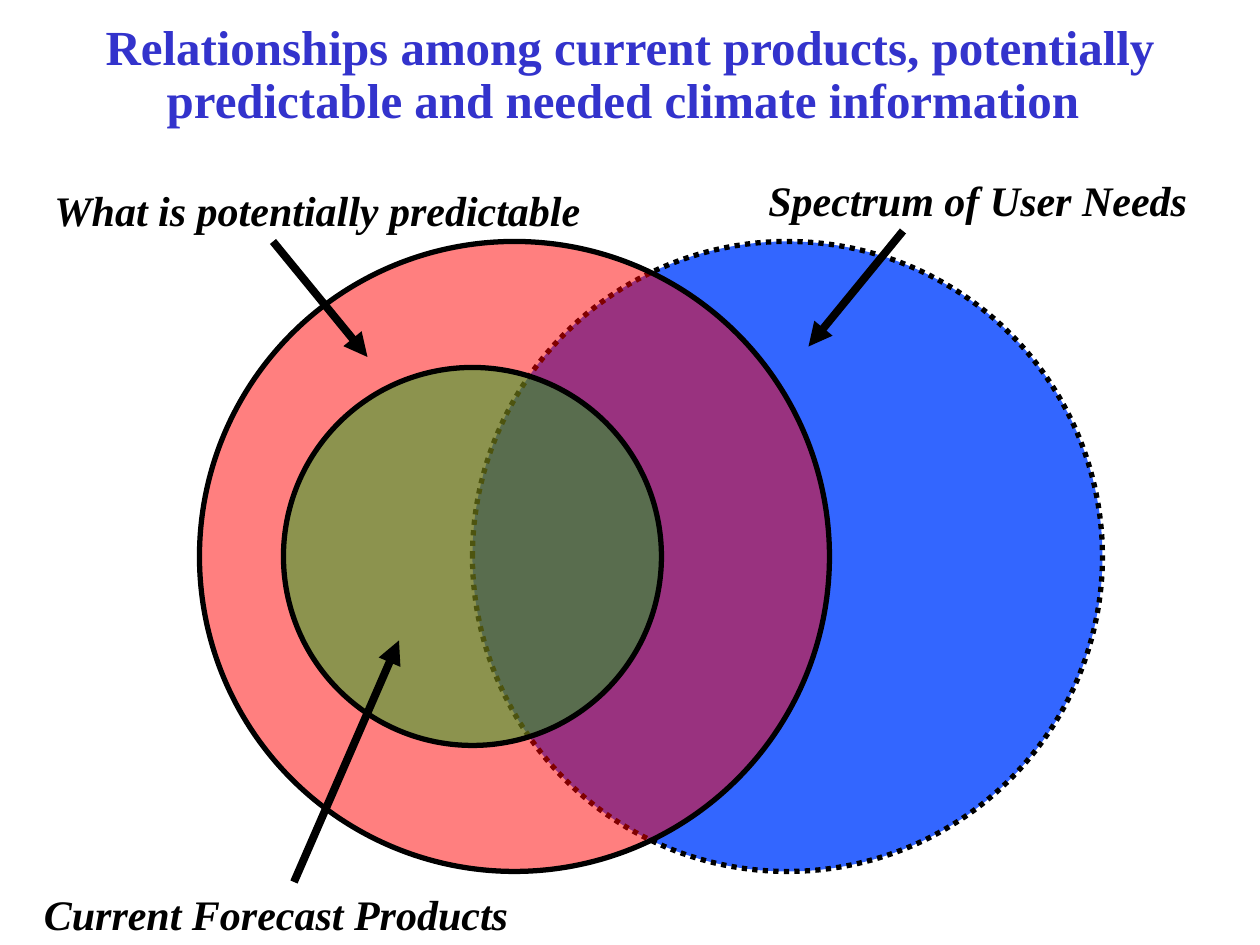
"""Build a slide on how forecast products, predictability and user needs overlap."""
from lxml import etree
from pptx import Presentation
from pptx.dml.color import RGBColor
from pptx.enum.dml import MSO_LINE
from pptx.enum.shapes import MSO_CONNECTOR, MSO_SHAPE
from pptx.enum.text import MSO_ANCHOR, MSO_AUTO_SIZE, PP_ALIGN
from pptx.oxml.ns import qn
from pptx.util import Pt

PX = 9525
FONT = "Times New Roman"
BLACK = RGBColor(0x00, 0x00, 0x00)
BLUE = RGBColor(0x33, 0x66, 0xFF)
RED = RGBColor(0xFF, 0x00, 0x00)
GREEN = RGBColor(0x1B, 0xA8, 0x1F)
INDIGO = RGBColor(0x33, 0x33, 0xCC)
OVAL = MSO_SHAPE.OVAL
STRAIGHT = MSO_CONNECTOR.STRAIGHT
DOTS = MSO_LINE.ROUND_DOT
MIDDLE = MSO_ANCHOR.MIDDLE
CENTER = PP_ALIGN.CENTER
GROW = MSO_AUTO_SIZE.SHAPE_TO_FIT_TEXT


def scale(*sizes):
    """Turn px into EMU."""
    return [size * PX for size in sizes]


def add_circle(slide, left, top, size, color, alpha=None, dash=None):
    """Draw an outlined circle, see-through if alpha is a percentage."""
    shape = slide.shapes.add_shape(OVAL, *scale(left, top, size, size))
    shape.shadow.inherit = False
    shape.fill.solid()
    shape.fill.fore_color.rgb = color
    if alpha is not None:
        tint = shape.fill._xPr.find(qn("a:solidFill"))[0]
        etree.SubElement(tint, qn("a:alpha"), val=str(alpha * 1000))
    shape.line.color.rgb = BLACK
    shape.line.width = Pt(3)
    if dash is not None:
        shape.line.dash_style = dash


def add_arrow(slide, *ends):
    """Draw a thick arrow from the first point to the second."""
    arrow = slide.shapes.add_connector(STRAIGHT, *scale(*ends))
    arrow.line.color.rgb = BLACK
    arrow.line.width = Pt(4.5)
    etree.SubElement(arrow.line._get_or_add_ln(), qn("a:tailEnd"), type="triangle")
    etree.SubElement(arrow._element.spPr, qn("a:effectLst"))


def set_font(font, size, color, italic=False):
    """Set a bold face."""
    font.name = FONT
    font.size = Pt(size)
    font.bold = True
    font.italic = italic
    font.color.rgb = color


def add_label(slide, text, *place):
    """Write a one-line label in bold italics."""
    frame = slide.shapes.add_textbox(*scale(*place)).text_frame
    frame.word_wrap = False
    frame.auto_size = GROW
    para = frame.paragraphs[0]
    para.text = text
    set_font(para.font, 24, BLACK, italic=True)


def add_title(slide, text):
    """Write the centred title, closed by a larger space."""
    frame = slide.shapes.add_textbox(*scale(0, 0, 960, 120)).text_frame
    frame.word_wrap = True
    frame.vertical_anchor = MIDDLE
    para = frame.paragraphs[0]
    para.alignment = CENTER
    para.line_spacing = 0.8
    for part, size in ((text, 28), (" ", 32)):
        run = para.add_run()
        run.text = part
        set_font(run.font, size, INDIGO)


def main():
    """Build and save the slide."""
    deck = Presentation()
    deck.slide_width, deck.slide_height = scale(960, 720)
    slide = deck.slides.add_slide(deck.slide_layouts[6])
    add_circle(slide, 360, 184, 480, BLUE, dash=DOTS)
    add_circle(slide, 152, 184, 480, RED, alpha=50)
    add_circle(slide, 216, 280, 288, GREEN, alpha=50)
    add_arrow(slide, 208, 184, 280, 272)
    add_label(slide, "What is potentially predictable", 32, 136, 422, 48)
    add_label(slide, "Spectrum of User Needs", 576, 128, 340, 48)
    add_label(slide, "Current Forecast Products", 24, 672, 375, 48)
    add_arrow(slide, 224, 672, 304, 488)
    add_arrow(slide, 688, 176, 616, 264)
    add_title(slide, "Relationships among current products, potentially "
                     "predictable and needed climate information")
    deck.save("out.pptx")


if __name__ == "__main__":
    main()
